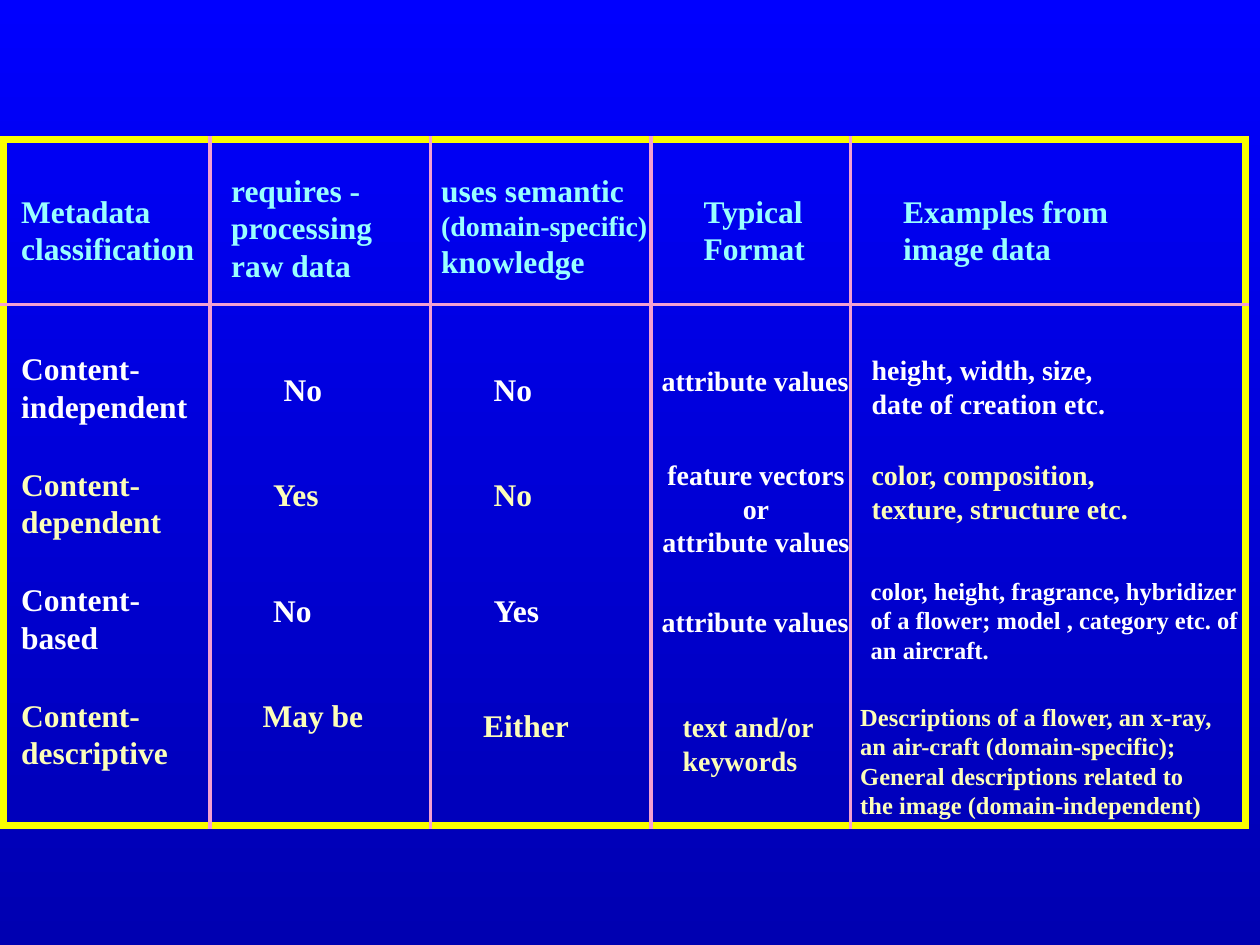
from dataclasses import dataclass

from lxml.etree import SubElement
from pptx import Presentation
from pptx.dml.color import RGBColor
from pptx.enum.shapes import MSO_CONNECTOR, MSO_SHAPE
from pptx.enum.text import MSO_AUTO_SIZE as AutoSize, PP_ALIGN as Align
from pptx.oxml.ns import qn
from pptx.slide import Slide
from pptx.util import Pt

FONT = "Times New Roman"
CYAN, WHITE, CREAM = "99FFFF", "FFFFFF", "FCFEB9"
YELLOW, PINK = "FAFD00", "F39FD1"
COLUMN_RULES = (120, 246, 372, 486)
RULE_TOP, RULE_BOTTOM = 78, 474
HEADER_RULE, RULE_RIGHT = 174, 714


@dataclass
class Cell:
    left: float
    top: float
    width: float
    text: str
    sizes: tuple[int, ...] = (18,)
    color: str = ""
    align: Align = Align.LEFT


@dataclass
class Row:
    color: str
    cells: list[Cell]


ROWS = [
    Row(CYAN, [
        Cell(5, 106, 115, "Metadata\nclassification"),
        Cell(125, 94, 97, "requires -\nprocessing\nraw data"),
        Cell(245, 94, 134, "uses semantic\n(domain-specific)\nknowledge", (18, 16, 18)),
        Cell(395, 106, 78, "Typical\nFormat"),
        Cell(509, 106, 133, "Examples from\nimage data"),
    ]),
    Row(WHITE, [
        Cell(5, 196, 111, "Content-\nindependent"),
        Cell(155, 208, 38, "No"),
        Cell(275, 208, 38, "No"),
        Cell(371, 204, 122, "attribute values", (16,)),
        Cell(491, 198, 150, "height, width, size,\ndate of creation etc.", (16,)),
    ]),
    Row(CREAM, [
        Cell(5, 262, 96, "Content-\ndependent"),
        Cell(149, 268, 44, "Yes"),
        Cell(275, 268, 38, "No"),
        Cell(371, 258, 122, "feature vectors\nor\nattribute values", (16,), WHITE, Align.CENTER),
        Cell(491, 258, 163, "color, composition,\ntexture, structure etc.", (16,)),
    ]),
    Row(WHITE, [
        Cell(5, 328, 84, "Content-\nbased"),
        Cell(149, 334, 38, "No"),
        Cell(275, 334, 44, "Yes"),
        Cell(371, 342, 122, "attribute values", (16,)),
        Cell(490.5, 325.5, 227,
             "color, height, fragrance, hybridizer\n"
             "of a flower; model , category etc. of\nan aircraft.", (14,)),
    ]),
    Row(CREAM, [
        Cell(5, 394, 100, "Content-\ndescriptive"),
        Cell(143, 394, 73, "May be"),
        Cell(269, 400, 65, "Either"),
        Cell(383, 402, 91, "text and/or\nkeywords", (16,)),
        Cell(484.5, 397.5, 219,
             "Descriptions of a flower, an x-ray,\nan air-craft (domain-specific);\n"
             "General descriptions related to\nthe image (domain-independent)", (14,)),
    ]),
]


def rgb(color: str) -> RGBColor:
    return RGBColor.from_string(color)


def paint_background(slide: Slide) -> None:
    fill = slide.background.fill
    fill.gradient()
    fill.gradient_angle = 270
    for stop, color in zip(fill.gradient_stops, ("0000FF", "0000B1")):
        stop.color.rgb = rgb(color)


def draw_frame(slide: Slide) -> None:
    frame = slide.shapes.add_shape(MSO_SHAPE.RECTANGLE, Pt(2), Pt(80), Pt(710), Pt(391.5))
    frame.shadow.inherit = False
    frame.fill.background()
    frame.line.color.rgb = rgb(YELLOW)
    frame.line.width = Pt(4)
    outline = frame._element.spPr.find(qn("a:ln"))
    SubElement(outline, qn("a:miter")).set("lim", "800000")


def draw_rule(slide: Slide, x1: float, y1: float, x2: float, y2: float) -> None:
    rule = slide.shapes.add_connector(MSO_CONNECTOR.STRAIGHT, Pt(x1), Pt(y1), Pt(x2), Pt(y2))
    rule.line.color.rgb = rgb(PINK)
    rule.line.width = Pt(2)
    SubElement(rule._element.spPr, qn("a:effectLst"))


def draw_cell(slide: Slide, cell: Cell, row_color: str) -> None:
    line_count = cell.text.count("\n") + 1
    sizes = cell.sizes if len(cell.sizes) == line_count else cell.sizes * line_count
    height = 1.2 * sum(sizes) + 7.2
    box = slide.shapes.add_textbox(Pt(cell.left), Pt(cell.top), Pt(cell.width), Pt(height))
    text_frame = box.text_frame
    text_frame.word_wrap = False
    text_frame.auto_size = AutoSize.SHAPE_TO_FIT_TEXT
    text_frame.text = cell.text
    for paragraph, size in zip(text_frame.paragraphs, sizes):
        paragraph.alignment = cell.align
        for run in paragraph.runs:
            run.font.name = FONT
            run.font.size = Pt(size)
            run.font.bold = True
            run.font.color.rgb = rgb(cell.color or row_color)


def main() -> None:
    presentation = Presentation()
    presentation.slide_width, presentation.slide_height = Pt(720), Pt(540)
    slide = presentation.slides.add_slide(presentation.slide_layouts[6])
    paint_background(slide)
    draw_frame(slide)
    for x in COLUMN_RULES:
        draw_rule(slide, x, RULE_TOP, x, RULE_BOTTOM)
    draw_rule(slide, 0, HEADER_RULE, RULE_RIGHT, HEADER_RULE)
    for row in ROWS:
        for cell in row.cells:
            draw_cell(slide, cell, row.color)
    presentation.save("out.pptx")


if __name__ == "__main__":
    main()
